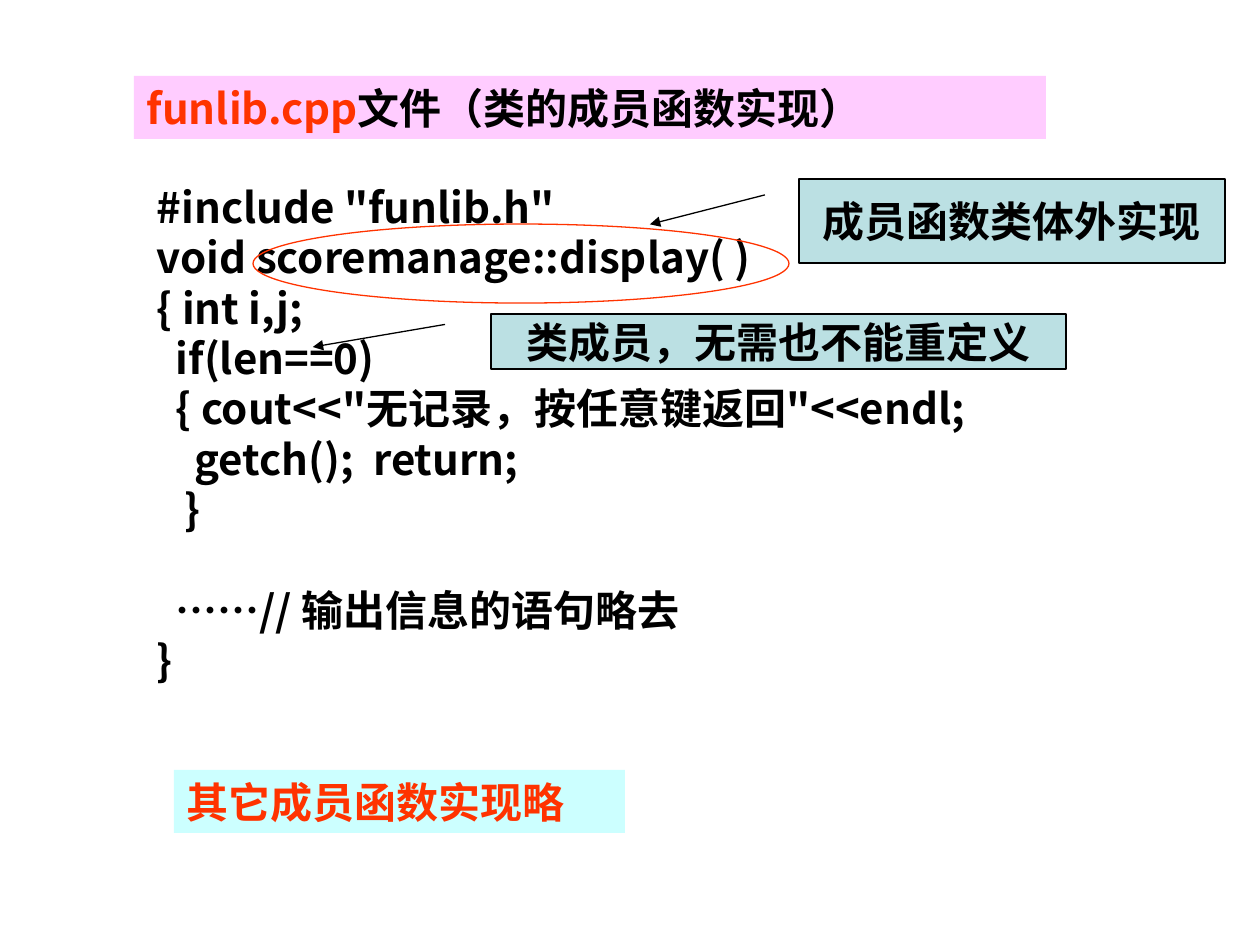
from lxml import etree
from pptx import Presentation
from pptx import util as u
from pptx.dml.color import RGBColor
from pptx.enum import shapes, text
from pptx.oxml.ns import qn

PX = 914400 / 126
BLACK = RGBColor(0x00, 0x00, 0x00)
WHITE = RGBColor(0xFF, 0xFF, 0xFF)
RED = RGBColor(0xFF, 0x33, 0x00)
PINK = RGBColor(0xFF, 0xCC, 0xFF)
CYAN = RGBColor(0xCC, 0xFF, 0xFF)
TEAL = RGBColor(0xBB, 0xE0, 0xE3)

LINE_HEIGHT = u.Pt(28.8)
CODE = [  # indent in px, lines left open above, statement
    (0, 0, '#include "funlib.h"'),
    (0, 0, "void scoremanage::display( )"),
    (0, 0, "{ int i,j;"),
    (19, 0, "if(len==0)"),
    (19, 0, '{ cout<<"无记录，按任意键返回"<<endl;'),
    (38, 0, "getch();  return;"),
    (28, 0, "}"),
    (19, 1, "……// 输出信息的语句略去"),
    (0, 0, "}"),
]


def px(length):
    return u.Emu(round(length * PX))


def apply(target, **values):
    for name, value in values.items():
        setattr(target, name, value)


class CodeSlide:
    font = {"name": "Noto Sans CJK SC", "size": u.Pt(24), "bold": True}
    frame = {"word_wrap": True, "auto_size": text.MSO_AUTO_SIZE.NONE,
             "margin_left": u.Inches(0.1), "margin_right": u.Inches(0.1),
             "margin_top": u.Inches(0.05), "margin_bottom": u.Inches(0.05)}

    def __init__(self, slide):
        self.slide = slide

    def place(self, shape, box, fill, anchor=text.MSO_ANCHOR.TOP):
        apply(shape, **dict(zip(("left", "top", "width", "height"), map(px, box))))
        shape.fill.solid()
        shape.fill.fore_color.rgb = fill
        apply(shape.text_frame, vertical_anchor=anchor, **self.frame)

    def set_line(self, paragraph, *parts, align=text.PP_ALIGN.LEFT, indent=0, gap=0):
        """Fill a paragraph with (words, colour) parts, without a bullet."""
        apply(paragraph, alignment=align, line_spacing=LINE_HEIGHT,
              space_before=u.Emu(gap * LINE_HEIGHT), space_after=u.Pt(0))
        properties = paragraph._p.get_or_add_pPr()
        properties.set("marL", str(px(indent)))
        properties.set("indent", "0")
        etree.SubElement(properties, qn("a:buNone"))
        for words, colour in parts:
            run = paragraph.add_run()
            run.text = words
            apply(run.font, **self.font)
            run.font.color.rgb = colour
            east_asian = etree.SubElement(run._r.get_or_add_rPr(), qn("a:ea"))
            east_asian.set("typeface", self.font["name"])

    def title(self, box, *parts):
        heading = self.slide.shapes.title
        self.place(heading, box, PINK)
        self.set_line(heading.text_frame.paragraphs[0], *parts)

    def code(self, box, lines):
        listing = self.slide.placeholders[1]
        self.place(listing, box, WHITE)
        frame = listing.text_frame
        for number, (indent, gap, statement) in enumerate(lines):
            paragraph = frame.add_paragraph() if number else frame.paragraphs[0]
            self.set_line(paragraph, (statement, BLACK), indent=indent, gap=gap)

    def note(self, box, words):
        remark = self.slide.shapes.add_textbox(0, 0, 0, 0)
        self.place(remark, box, CYAN)
        self.set_line(remark.text_frame.paragraphs[0], (words, RED))

    def outline(self, shape, colour):
        shape.shadow.inherit = False
        shape.line.color.rgb = colour
        shape.line.width = u.Pt(0.75)

    def ring(self, box):
        ellipse = self.slide.shapes.add_shape(shapes.MSO_SHAPE.OVAL, *map(px, box))
        ellipse.fill.background()
        self.outline(ellipse, RED)

    def callout(self, box, words, pointer):
        """Add a box whose arrow ends at pointer, a (y, x) share of its size."""
        label = self.slide.shapes.add_shape(
            shapes.MSO_SHAPE.LINE_CALLOUT_1, *map(px, box))
        for number, share in enumerate((0.19, -0.08, *pointer)):
            label.adjustments[number] = share
        self.place(label, box, TEAL, text.MSO_ANCHOR.MIDDLE)
        self.outline(label, BLACK)
        arrowhead = etree.SubElement(label.line._get_or_add_ln(), qn("a:tailEnd"))
        arrowhead.set("type", "triangle")
        self.set_line(label.text_frame.paragraphs[0], (words, BLACK),
                      align=text.PP_ALIGN.CENTER)


def main():
    deck = Presentation()
    apply(deck, slide_width=u.Inches(10), slide_height=u.Inches(7.5))
    page = CodeSlide(deck.slides.add_slide(deck.slide_layouts[1]))
    page.title((134, 76, 912, 63),
               ("funlib.cpp", RED), ("文件（类的成员函数实现）", BLACK))
    page.code((144, 175, 1116, 517), CODE)
    page.note((174, 770, 451, 63), "其它成员函数实现略")
    page.ring((253, 224, 536, 79))
    page.callout((799, 179, 426, 84), "成员函数类体外实现", (0.54, -0.35))
    page.callout((491, 314, 575, 55), "类成员，无需也不能重定义", (0.6, -0.31))
    deck.save("out.pptx")


if __name__ == "__main__":
    main()
